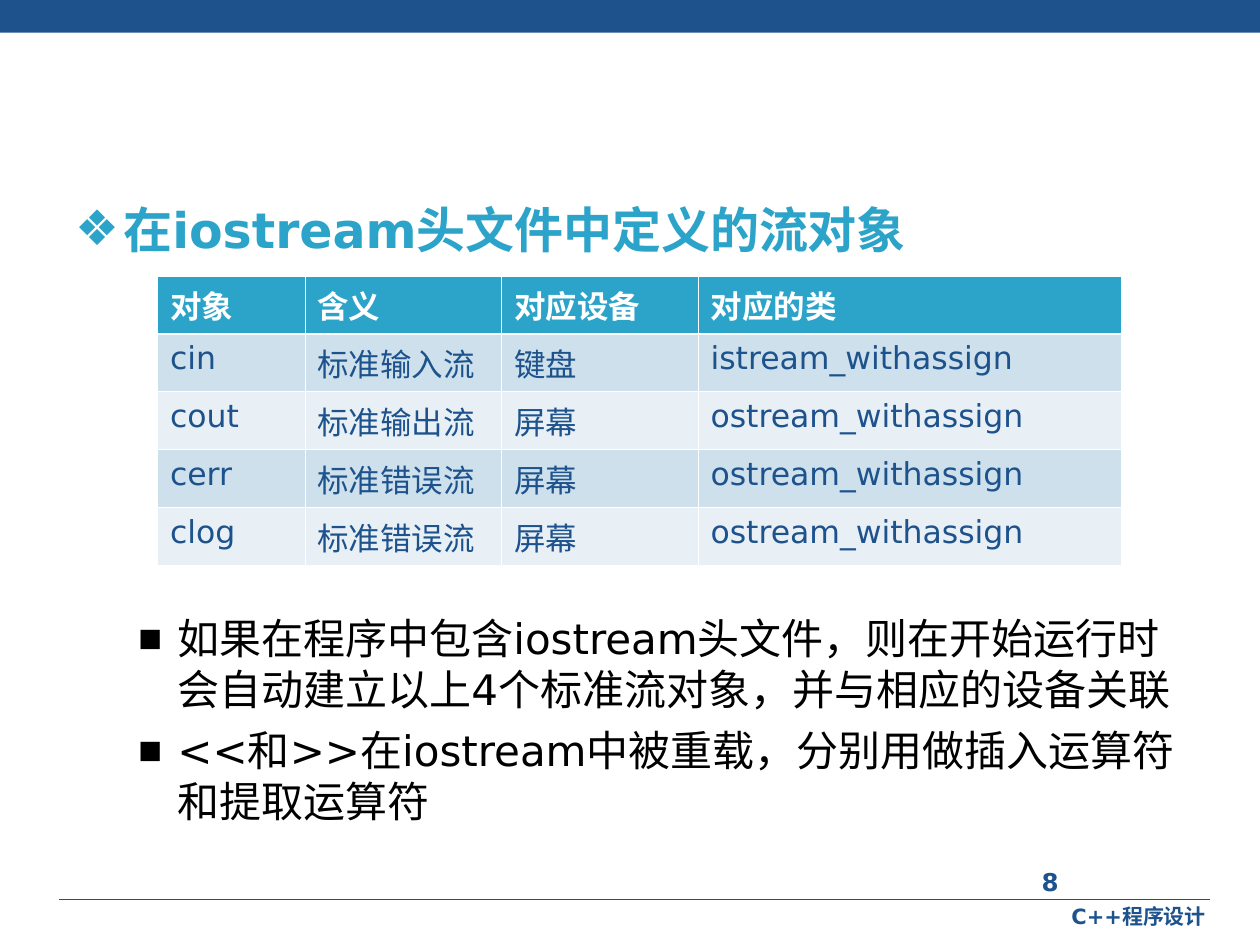
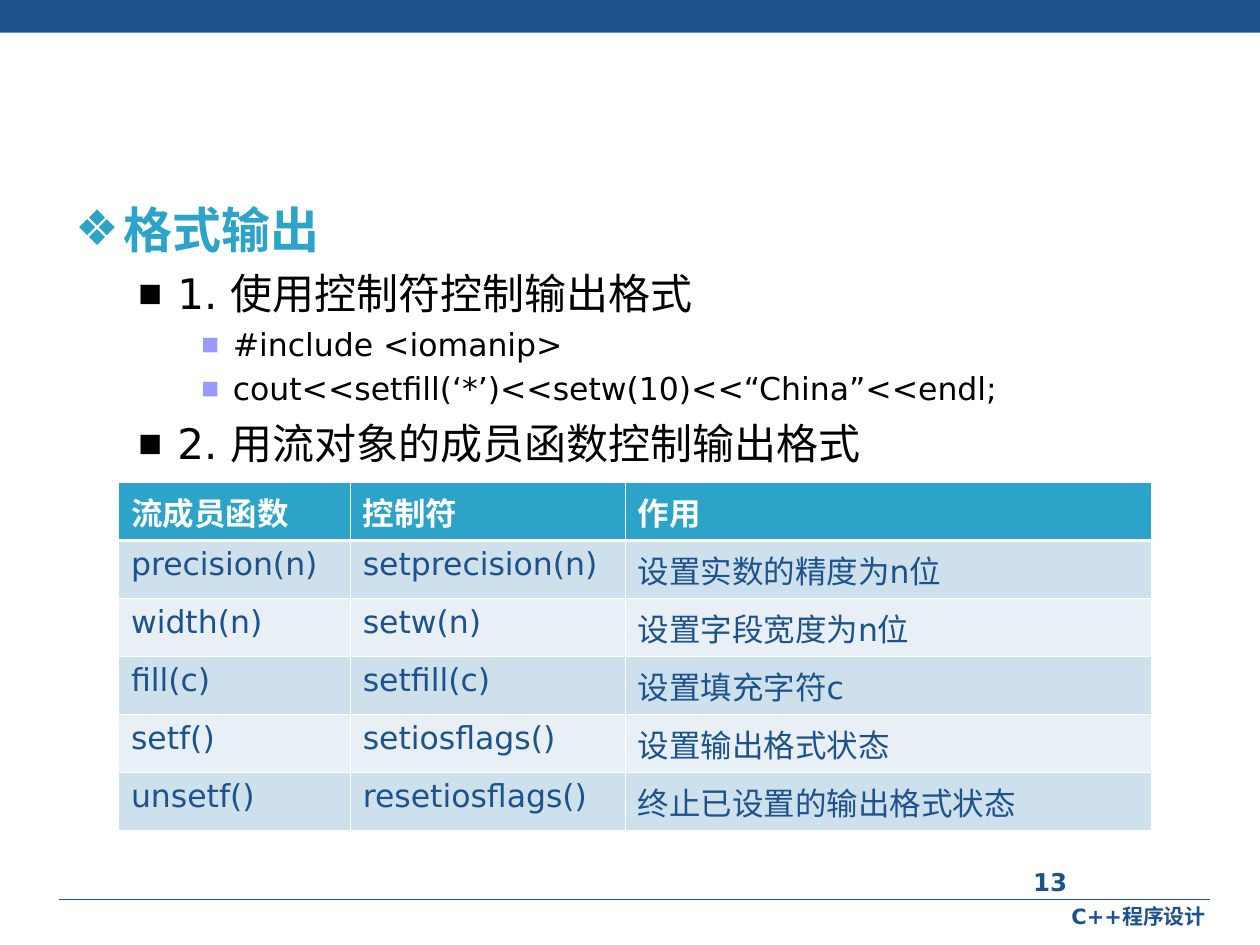
"""Build two C++ lecture slides about stream objects and formatted output."""
from lxml.etree import SubElement
from pptx import Presentation
from pptx.dml.color import RGBColor
from pptx.enum.shapes import MSO_CONNECTOR as Connector, MSO_SHAPE as Shape
from pptx.enum.text import MSO_ANCHOR as Anchor, MSO_AUTO_SIZE as AutoSize, PP_ALIGN as Align
from pptx.oxml.ns import qn
from pptx.util import Inches, Pt

FONT = "DejaVu Sans"
COLORS = {
    "navy": "1D528D", "teal": "2CA3C8", "white": "FFFFFF", "black": "000000",
    "lilac": "9999FF", "row_dark": "CDE0EB", "row_light": "E8F0F5",
}
LEVELS = {
    0: dict(bullet="❖", bullet_color="teal", bullet_size=100, indent=0.38, hanging=0.38,
            size=28, line=34, before=0, color="teal", bold=True),
    1: dict(bullet="■", bullet_color="black", bullet_size=60, indent=0.81, hanging=0.31,
            size=24, line=29, before=6, color="black", bold=False),
    2: dict(bullet="■", bullet_color="lilac", bullet_size=60, indent=1.25, hanging=0.25,
            size=18, line=21, before=4.5, color="black", bold=False),
}
SLIDE_WIDTH, SLIDE_HEIGHT = 10, 7.5
BODY_LEFT, BODY_WIDTH = 0.5, 9
ROW_HEIGHT = 0.46
COURSE = "C++程序设计"

SLIDES = [
    {
        "number": 8,
        "title": "在iostream头文件中定义的流对象",
        "bullets_at": (4.81, 2.25),
        "bullets": [
            (1, "如果在程序中包含iostream头文件，则在开始运行时会自动建立以上4个标准流对象，并与相应的设备关联"),
            (1, "<<和>>在iostream中被重载，分别用做插入运算符和提取运算符"),
        ],
        "table_at": (1.25, 2.19),
        "columns": [1.17, 1.56, 1.56, 3.36],
        "rows": [
            ("对象", "含义", "对应设备", "对应的类"),
            ("cin", "标准输入流", "键盘", "istream_withassign"),
            ("cout", "标准输出流", "屏幕", "ostream_withassign"),
            ("cerr", "标准错误流", "屏幕", "ostream_withassign"),
            ("clog", "标准错误流", "屏幕", "ostream_withassign"),
        ],
    },
    {
        "number": 13,
        "title": "格式输出",
        "bullets_at": (2.07, 1.75),
        "bullets": [
            (1, "1. 使用控制符控制输出格式"),
            (2, "#include <iomanip>"),
            (2, "cout<<setfill(‘*’)<<setw(10)<<“China”<<endl;"),
            (1, "2. 用流对象的成员函数控制输出格式"),
        ],
        "table_at": (0.94, 3.83),
        "columns": [1.84, 2.18, 4.18],
        "rows": [
            ("流成员函数", "控制符", "作用"),
            ("precision(n)", "setprecision(n)", "设置实数的精度为n位"),
            ("width(n)", "setw(n)", "设置字段宽度为n位"),
            ("fill(c)", "setfill(c)", "设置填充字符c"),
            ("setf()", "setiosflags()", "设置输出格式状态"),
            ("unsetf()", "resetiosflags()", "终止已设置的输出格式状态"),
        ],
    },
]


def rgb(name):
    return RGBColor.from_string(COLORS[name])


def add_solid_fill(parent, color):
    fill = SubElement(parent, qn("a:solidFill"))
    SubElement(fill, qn("a:srgbClr"), val=COLORS[color])


def write(paragraph, text, size, color, bold, align=Align.LEFT):
    paragraph.text = text
    paragraph.alignment = align
    for run in paragraph.runs:
        run.font.name = FONT
        run.font.size = Pt(size)
        run.font.bold = bold
        run.font.color.rgb = rgb(color)


def write_bullet(paragraph, text, level, first):
    style = LEVELS[level]
    properties = paragraph._p.get_or_add_pPr()
    properties.set("marL", str(Inches(style["indent"])))
    properties.set("indent", str(-Inches(style["hanging"])))
    bullet_color = SubElement(properties, qn("a:buClr"))
    SubElement(bullet_color, qn("a:srgbClr"), val=COLORS[style["bullet_color"]])
    SubElement(properties, qn("a:buSzPct"), val=str(style["bullet_size"] * 1000))
    SubElement(properties, qn("a:buFont"), typeface=FONT)
    SubElement(properties, qn("a:buChar"), char=style["bullet"])
    paragraph.level = level
    paragraph.line_spacing = Pt(style["line"])
    paragraph.space_before = Pt(0 if first else style["before"])
    write(paragraph, text, style["size"], style["color"], style["bold"])


def add_text_box(slide, left, top, width, height):
    box = slide.shapes.add_textbox(Inches(left), Inches(top), Inches(width), Inches(height))
    box.text_frame.word_wrap = True
    return box.text_frame


def add_frame(slide, number):
    band = slide.shapes.add_shape(Shape.RECTANGLE, 0, 0, Inches(SLIDE_WIDTH), Inches(0.26))
    band.shadow.inherit = False
    band.fill.solid()
    band.fill.fore_color.rgb = rgb("navy")
    band.line.fill.background()
    rule = slide.shapes.add_connector(
        Connector.STRAIGHT, Inches(0.47), Inches(7.14), Inches(9.6), Inches(7.14))
    rule.line.color.rgb = rgb("navy")
    rule.line.width = Pt(0.75)
    SubElement(rule._element.spPr, qn("a:effectLst"))
    footer = add_text_box(slide, 6.5, 7.12, 3.17, 0.33)
    write(footer.paragraphs[0], COURSE, 12, "navy", True, Align.RIGHT)
    page = add_text_box(slide, 7.17, 6.83, 2.33, 0.5)
    write(page.paragraphs[0], str(number), 14, "navy", True, Align.CENTER)


def add_title(slide, text):
    title = slide.shapes.title
    title.left, title.top = Inches(BODY_LEFT), Inches(1.53)
    title.width, title.height = Inches(BODY_WIDTH), Inches(0.6)
    frame = title.text_frame
    frame.auto_size = AutoSize.NONE
    frame.vertical_anchor = Anchor.TOP
    write_bullet(frame.paragraphs[0], text, 0, True)


def add_bullets(slide, bullets, top, height):
    frame = add_text_box(slide, BODY_LEFT, top, BODY_WIDTH, height)
    for index, (level, text) in enumerate(bullets):
        paragraph = frame.add_paragraph() if index else frame.paragraphs[0]
        write_bullet(paragraph, text, level, index == 0)


def format_cell(cell, text, row_index):
    header = row_index == 0
    write(cell.text_frame.paragraphs[0], text, 18, "white" if header else "navy", header)
    properties = cell._tc.get_or_add_tcPr()
    heavy_side = {0: "a:lnB", 1: "a:lnT"}.get(row_index)
    for side in ("a:lnL", "a:lnR", "a:lnT", "a:lnB"):
        width = Pt(1.47 if side == heavy_side else 0.45)
        add_solid_fill(SubElement(properties, qn(side), w=str(width)), "white")
    cell.fill.solid()
    body_color = "row_dark" if row_index % 2 else "row_light"
    cell.fill.fore_color.rgb = rgb("teal" if header else body_color)


def add_data_table(slide, rows, columns, left, top):
    table = slide.shapes.add_table(
        len(rows), len(columns), Inches(left), Inches(top),
        Inches(sum(columns)), Inches(ROW_HEIGHT * len(rows))).table
    for column, width in zip(table.columns, columns):
        column.width = Inches(width)
    for row_index, values in enumerate(rows):
        table.rows[row_index].height = Inches(ROW_HEIGHT)
        for column_index, text in enumerate(values):
            format_cell(table.cell(row_index, column_index), text, row_index)


def main():
    presentation = Presentation()
    presentation.slide_width = Inches(SLIDE_WIDTH)
    presentation.slide_height = Inches(SLIDE_HEIGHT)
    for content in SLIDES:
        slide = presentation.slides.add_slide(presentation.slide_layouts[5])
        add_frame(slide, content["number"])
        add_title(slide, content["title"])
        add_bullets(slide, content["bullets"], *content["bullets_at"])
        add_data_table(slide, content["rows"], content["columns"], *content["table_at"])
    presentation.save("out.pptx")


if __name__ == "__main__":
    main()
